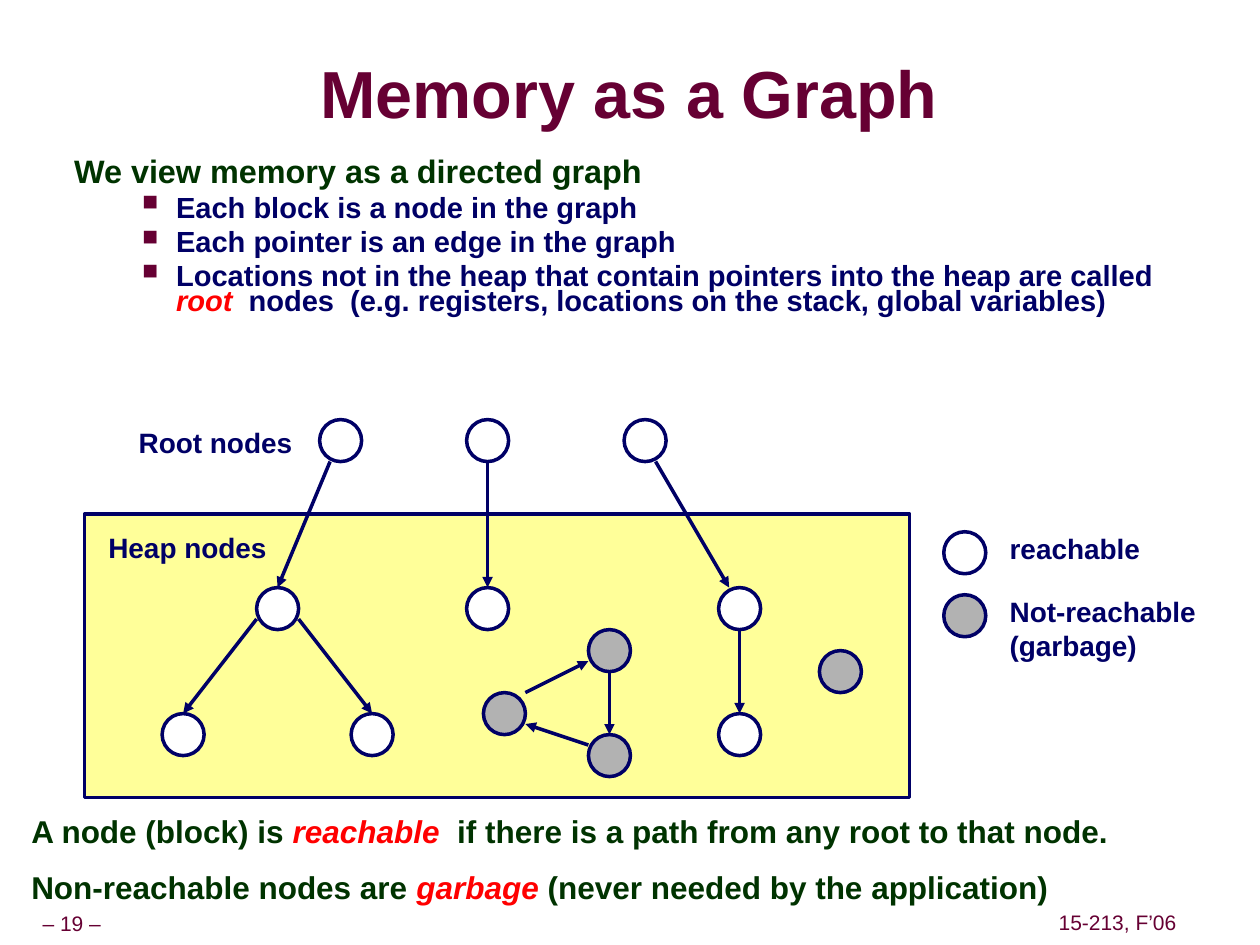
from dataclasses import dataclass

from lxml.etree import SubElement
from pptx import Presentation
from pptx.dml.color import RGBColor
from pptx.enum.shapes import MSO_CONNECTOR, MSO_SHAPE
from pptx.enum.text import MSO_ANCHOR, PP_ALIGN
from pptx.oxml import parse_xml
from pptx.oxml.ns import nsdecls, qn
from pptx.util import Emu, Inches, Pt


@dataclass(frozen=True)
class Theme:
    font: str = "Arial"
    maroon: str = "660033"
    green: str = "003300"
    navy: str = "000066"
    red: str = "FF0000"
    heap: str = "FFFF99"
    reachable: str = "FFFFFF"
    garbage: str = "B2B2B2"
    title: float = 38
    lead: float = 18.5
    closing: float = 18
    bullet: float = 16.6
    label: float = 16
    footer: float = 12
    line: float = 2


T = Theme()
CELL = Inches(1) // 12  # grid of the diagram
RADIUS = 2  # node radius in cells

# Node centres in columns and rows from the heap's top left corner
ROOTS = {"r1": (24.4, -7), "r2": (38.4, -7), "r3": (53.4, -7)}
LIVE = {"a": (18.4, 9), "b": (38.4, 9), "c": (62.4, 9),
        "a1": (9.4, 21), "a2": (27.4, 21), "c1": (62.4, 21)}
DEAD = {"top": (50, 13), "left": (40, 19), "bottom": (50, 23), "lone": (72, 15)}

# Each edge: node and offset from its centre, at start and at end
EDGES = [
    ("r1", (-1, 2), "a", (0, -2)), ("r2", (0, 2), "b", (0, -2)),
    ("r3", (1, 2), "c", (-1, -2)), ("a", (-2, 1), "a1", (0, -2)),
    ("a", (2, 1), "a2", (0, -2)), ("c", (0, 2), "c1", (0, -2)),
    ("top", (0, 2), "bottom", (0, -2)), ("bottom", (-2, -1), "left", (2, 1)),
    ("left", (2, -2), "top", (-2, 1)),
]


def rgb(value):
    return RGBColor.from_string(value)


def add_run(p, text, size, color, bold=True, italic=False):
    r = p.add_run()
    r.text = text
    r.font.name, r.font.size = T.font, Pt(size)
    r.font.bold, r.font.italic = bold, italic
    r.font.color.rgb = rgb(color)
    return r


def add_text(s, box, wrap=True):
    tf = s.shapes.add_textbox(*(Emu(int(v)) for v in box)).text_frame
    tf.word_wrap = wrap
    return tf


def set_indent(p, left, hanging, bullet=None):
    pPr = p._p.get_or_add_pPr()
    pPr.set("marL", str(Inches(left)))
    pPr.set("indent", str(-Inches(hanging)))
    if bullet:
        color = SubElement(pPr, qn("a:buClr"))
        SubElement(color, qn("a:srgbClr"), val=T.maroon)
        SubElement(pPr, qn("a:buSzPct"), val="75000")
        SubElement(pPr, qn("a:buChar"), char=bullet)


def format_shape(shape, fill):
    shape.shadow.inherit = False
    shape.fill.solid()
    shape.fill.fore_color.rgb = rgb(fill)
    shape.line.color.rgb = rgb(T.navy)
    shape.line.width = Pt(T.line)


def add_node(s, x, y, fill):
    """Draw a node centred on x, y."""
    r = RADIUS * CELL
    node = s.shapes.add_shape(MSO_SHAPE.OVAL, Emu(int(x - r)), Emu(int(y - r)), 2 * r, 2 * r)
    format_shape(node, fill)


def add_arrow(s, start, end):
    arrow = s.shapes.add_connector(MSO_CONNECTOR.STRAIGHT, *(Emu(int(v)) for v in start + end))
    arrow.line.color.rgb = rgb(T.navy)
    arrow.line.width = Pt(T.line)
    SubElement(arrow.line._get_or_add_ln(), qn("a:tailEnd"), type="triangle")
    SubElement(arrow._element.spPr, qn("a:effectLst"))


def add_label(s, x, y, lines):
    tf = add_text(s, (x, y, Inches(1.7), Inches(0.37 + 0.27 * (len(lines) - 1))), wrap=False)
    p = tf.paragraphs[0]
    for i, line in enumerate(lines):
        if i:
            p.add_line_break()
        add_run(p, line, T.label, T.navy)


def add_title(s, box):
    title = s.shapes.title
    title.left, title.top, title.width, title.height = box
    tf = title.text_frame
    tf.margin_left = tf.margin_right = tf.margin_top = tf.margin_bottom = 0
    tf.vertical_anchor = MSO_ANCHOR.MIDDLE
    p = tf.paragraphs[0]
    p.alignment, p.line_spacing = PP_ALIGN.CENTER, 0.87
    r = add_run(p, "Memory as a Graph", T.title, T.maroon)
    # Text shadow goes straight after the run's fill
    r._r.rPr.find(qn("a:solidFill")).addnext(parse_xml(
        f'<a:effectLst {nsdecls("a")}><a:outerShdw dist="53882" dir="2700000">'
        '<a:srgbClr val="999999"/></a:outerShdw></a:effectLst>'))


def add_body(s, box):
    tf = add_text(s, box)
    p = tf.paragraphs[0]
    set_indent(p, 0.42, 0.42)
    p.line_spacing = 0.65
    add_run(p, "We view memory as a directed graph", T.lead, T.green)
    bullets = [
        ["Each block is a node in the graph"],
        ["Each pointer is an edge in the graph"],
        ["Locations not in the heap that contain pointers into the heap are called ", "root",
         "  nodes  (e.g. registers, locations on the stack, global variables)"],
    ]
    for parts in bullets:
        p = tf.add_paragraph()
        set_indent(p, 0.81, 0.27, "■")
        p.line_spacing, p.space_before = 0.7, Pt(5.6)
        add_emphasis(p, parts, T.bullet, T.navy)


def add_emphasis(p, parts, size, color):
    """Set every second part in red italics."""
    for i, text in enumerate(parts):
        add_run(p, text, size, T.red if i % 2 else color, italic=bool(i % 2))


def add_diagram(s, box):
    left, top, width, height = box
    format_shape(s.shapes.add_shape(MSO_SHAPE.RECTANGLE, *box), T.heap)
    add_label(s, left + 4 * CELL, top - 9 * CELL, ["Root nodes"])
    add_label(s, left + 1.1 * CELL, top + CELL, ["Heap nodes"])

    def place(col, row):
        return left + col * CELL, top + row * CELL

    centres = ROOTS | LIVE | DEAD
    for name, centre in centres.items():
        add_node(s, *place(*centre), T.garbage if name in DEAD else T.reachable)
    for source, out, target, into in EDGES:
        start, end = ([c + d for c, d in zip(centres[n], offset)]
                      for n, offset in ((source, out), (target, into)))
        add_arrow(s, place(*start), place(*end))


def add_legend(s, left, top):
    entries = [(T.reachable, ["reachable"]), (T.garbage, ["Not-reachable", "(garbage)"])]
    for i, (fill, lines) in enumerate(entries):
        y = top + 6 * i * CELL
        add_node(s, left + RADIUS * CELL, y + 2.6 * CELL, fill)
        add_label(s, left + 5.1 * CELL, y, lines)


def add_closing(s, box):
    tf = add_text(s, box)
    lines = [
        ["A node (block) is ", "reachable", "  if there is a path from any root to that node."],
        ["Non-reachable nodes are ", "garbage ", "(never needed by the application)"],
    ]
    for i, parts in enumerate(lines):
        p = tf.add_paragraph() if i else tf.paragraphs[0]
        set_indent(p, 0.42, 0.42)
        p.line_spacing = 0.95
        if i:
            p.space_before = Pt(11.2)
        add_emphasis(p, parts, T.closing, T.green)


def add_footer(s, box, text):
    tf = add_text(s, box, wrap=False)
    tf.margin_left = tf.margin_right = Inches(0.05)
    tf.vertical_anchor = MSO_ANCHOR.MIDDLE
    p = tf.paragraphs[0]
    p.alignment, p.line_spacing = PP_ALIGN.CENTER, 0.9
    add_run(p, text, T.footer, T.maroon, bold=False)


def main():
    prs = Presentation()
    prs.slide_width, prs.slide_height = Inches(10), Inches(7.5)
    s = prs.slides.add_slide(prs.slide_layouts[5])

    def box(*lengths):
        return [Inches(v) for v in lengths]

    add_footer(s, box(0, 7.2, 1.14, 0.28), "– 19 –")
    add_footer(s, box(8.35, 7.19, 1.04, 0.28), "15-213, F’06")
    add_title(s, box(1.53, 0.46, 6.93, 0.63))
    add_body(s, box(0.49, 1.25, 9.26, 1.33))
    add_diagram(s, box(0.67, 4.08, 6.55, 2.25))
    add_legend(s, Inches(7.49), Inches(4.17))
    add_closing(s, box(0.15, 6.42, 9.43, 0.92))
    prs.save("out.pptx")


if __name__ == "__main__":
    main()
